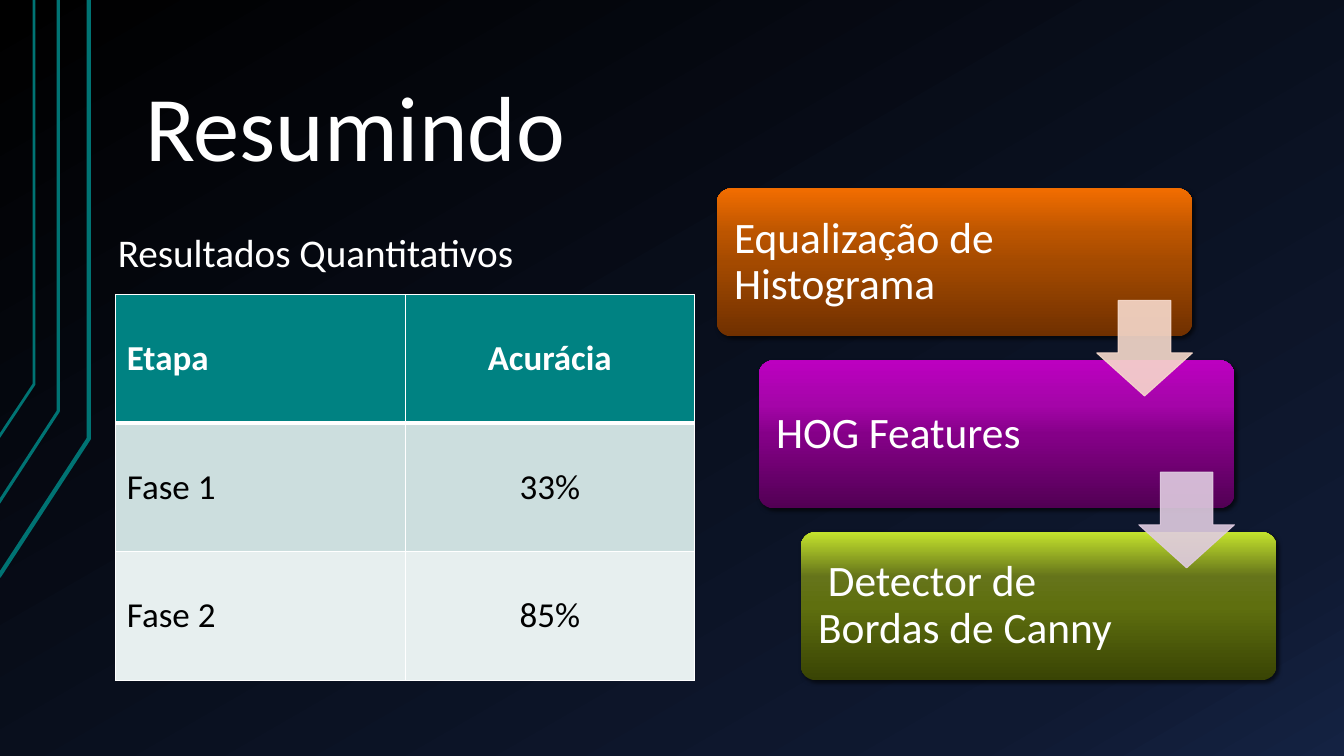
"""Build the summary slide with its accuracy table and three processing steps."""
import lxml.etree
import pptx
import pptx.dml.color
import pptx.enum.shapes
import pptx.enum.text
import pptx.oxml.ns
import pptx.util

Cm = pptx.util.Cm
Pt = pptx.util.Pt
RGBColor = pptx.dml.color.RGBColor
MSO_SHAPE = pptx.enum.shapes.MSO_SHAPE
MSO_ANCHOR = pptx.enum.text.MSO_ANCHOR
PP_ALIGN = pptx.enum.text.PP_ALIGN
qn = pptx.oxml.ns.qn

WHITE = RGBColor(0xFF, 0xFF, 0xFF)
BLACK = RGBColor(0x00, 0x00, 0x00)
TEAL = RGBColor(0x00, 0x82, 0x82)
DARK_TEAL = RGBColor(0x00, 0x73, 0x73)
MIST = RGBColor(0xCC, 0xDE, 0xDE)
PALE_MIST = RGBColor(0xE7, 0xEF, 0xEF)
PEACH = RGBColor(0xF7, 0xDA, 0xCC)
LILAC = RGBColor(0xE0, 0xCC, 0xE1)
NIGHT = [(0, BLACK), (85, RGBColor(0x0F, 0x19, 0x31)), (100, RGBColor(0x14, 0x22, 0x42))]
ORANGE = [(0, RGBColor(0x70, 0x30, 0x00)), (50, RGBColor(0xA4, 0x4A, 0x00)),
          (70, RGBColor(0xBC, 0x55, 0x00)), (100, RGBColor(0xF2, 0x6D, 0x00))]
PURPLE = [(0, RGBColor(0x52, 0x00, 0x54)), (50, RGBColor(0x85, 0x00, 0x88)),
          (70, RGBColor(0xA5, 0x05, 0xA9)), (100, RGBColor(0xBC, 0x00, 0xC0))]
LIME = [(0, RGBColor(0x39, 0x44, 0x04)), (50, RGBColor(0x5F, 0x6F, 0x0F)),
        (70, RGBColor(0x65, 0x74, 0x1A)), (100, RGBColor(0xC4, 0xE3, 0x2D))]


def write_text(frame, text, size, color=WHITE, bold=False, align=PP_ALIGN.LEFT, spacing=1.0):
    paragraph = frame.paragraphs[0]
    run = paragraph.add_run()
    run.text = text
    run.font.color.rgb = color
    for target, values in (
        (paragraph, {"alignment": align, "line_spacing": spacing}),
        (run.font, {"name": "Calibri", "size": Pt(size), "bold": bold}),
    ):
        for name, value in values.items():
            setattr(target, name, value)


def fill_gradient(fill, element, stops, angle):
    fill.gradient()
    gradient = element.find(".//" + qn("a:gradFill"))
    stop_list = gradient.find(qn("a:gsLst"))
    for stop in list(stop_list):
        stop_list.remove(stop)
    for position, color in stops:
        stop = lxml.etree.SubElement(stop_list, qn("a:gs"), pos=str(position * 1000))
        lxml.etree.SubElement(stop, qn("a:srgbClr"), val=str(color))
    gradient.find(qn("a:lin")).set("ang", str(angle * 60000))


presentation = pptx.Presentation()
presentation.slide_width = Cm(33.87)
presentation.slide_height = Cm(19.05)
slide = presentation.slides.add_slide(presentation.slide_layouts[5])
shapes = slide.shapes
fill_gradient(slide.background.fill, slide.element, NIGHT, 60)

for right, bend, bottom, width in (
    (2.24, 11.05, 14.53, 3), (1.47, 10.36, 12.67, 2.25), (0.86, 9.68, 11.02, 2)
):
    builder = shapes.build_freeform(Cm(-0.03), Cm(bottom))
    builder.add_line_segments([(Cm(right), Cm(bend)), (Cm(right), 0)], close=False)
    stripe = builder.convert_to_shape()
    stripe.shadow.inherit = False
    stripe.fill.background()
    stripe.line.color.rgb = DARK_TEAL
    stripe.line.width = Pt(width)

title = shapes.title
title_format = {"left": Cm(3.33), "top": Cm(1.75), "width": Cm(13.79), "height": Cm(3)}
frame_format = {"vertical_anchor": MSO_ANCHOR.BOTTOM, "word_wrap": True,
                "auto_size": pptx.enum.text.MSO_AUTO_SIZE.NONE,
                "margin_left": Cm(0.33), "margin_right": Cm(0.33),
                "margin_top": Cm(0.18), "margin_bottom": Cm(0.18)}
for target, values in ((title, title_format), (title.text_frame, frame_format)):
    for name, value in values.items():
        setattr(target, name, value)
write_text(title.text_frame, "Resumindo", 66, spacing=0.9)

step_format = {"vertical_anchor": MSO_ANCHOR.MIDDLE, "word_wrap": True,
               "margin_left": Cm(0.33), "margin_right": Cm(3.8),
               "margin_top": Cm(0.33), "margin_bottom": Cm(0.33)}
steps = [("Equalização de Histograma", ORANGE), ("HOG Features", PURPLE),
         (" Detector de Bordas de Canny", LIME)]
step_right, step_down = 1.06, 4.33
for index, (text, stops) in enumerate(steps):
    step = shapes.add_shape(
        MSO_SHAPE.ROUNDED_RECTANGLE, Cm(18.06 + index * step_right),
        Cm(4.75 + index * step_down), Cm(11.99), Cm(3.73))
    step.adjustments[0] = 0.1
    fill_gradient(step.fill, step.element, stops, 270)
    step.line.fill.background()
    step.shadow.inherit = False
    shadow = lxml.etree.SubElement(
        step.element.find(".//" + qn("a:effectLst")), qn("a:outerShdw"),
        blurRad=str(Pt(3)), dist=str(Pt(2)), dir="2700000", rotWithShape="0")
    shadow_color = lxml.etree.SubElement(shadow, qn("a:srgbClr"), val=str(BLACK))
    lxml.etree.SubElement(shadow_color, qn("a:alpha"), val="60000")
    for name, value in step_format.items():
        setattr(step.text_frame, name, value)
    write_text(step.text_frame, text, 31, spacing=0.9)

for index, color in enumerate((PEACH, LILAC)):
    arrow = shapes.add_shape(
        MSO_SHAPE.DOWN_ARROW, Cm(27.64 + index * step_right),
        Cm(7.57 + index * step_down), Cm(2.41), Cm(2.41))
    arrow.adjustments[0] = 0.55
    arrow.adjustments[1] = 0.45
    arrow.shadow.inherit = False
    arrow.fill.solid()
    arrow.fill.fore_color.rgb = color
    arrow.line.color.rgb = color
    arrow.line.width = Pt(0.75)
    for color_element in arrow.element.iter(qn("a:srgbClr")):
        lxml.etree.SubElement(color_element, qn("a:alpha"), val="90000")

rows = [("Etapa", "Acurácia"), ("Fase 1", "33%"), ("Fase 2", "85%")]
table = shapes.add_table(3, 2, Cm(2.92), Cm(7.42), Cm(14.58), Cm(9.73)).table
for column in table.columns:
    column.width = Cm(7.29)
for row_index, (texts, row_fill) in enumerate(zip(rows, (TEAL, MIST, PALE_MIST))):
    table.rows[row_index].height = Cm(3.24)
    header = row_index == 0
    for column_index, text in enumerate(texts):
        cell = table.cell(row_index, column_index)
        cell.vertical_anchor = MSO_ANCHOR.MIDDLE
        cell.margin_left = cell.margin_right = Cm(0.28)
        cell.fill.solid()
        cell.fill.fore_color.rgb = row_fill
        write_text(cell.text_frame, text, 25, WHITE if header else BLACK, header,
                   PP_ALIGN.CENTER if column_index else PP_ALIGN.LEFT)
        properties = cell.fill.fore_color and cell._tc.get_or_add_tcPr()
        heavy = {0: "B", 1: "T"}.get(row_index)
        for position, side in enumerate("LRTB"):
            border = lxml.etree.Element(qn("a:ln" + side), w=str(Pt(3 if side == heavy else 1)))
            border_fill = lxml.etree.SubElement(border, qn("a:solidFill"))
            lxml.etree.SubElement(border_fill, qn("a:srgbClr"), val=str(WHITE))
            properties.insert(position, border)

caption = shapes.add_textbox(Cm(2.72), Cm(5.64), Cm(12.8), Cm(1.45))
caption.text_frame.word_wrap = True
write_text(caption.text_frame, "Resultados Quantitativos", 28)

presentation.save("out.pptx")
